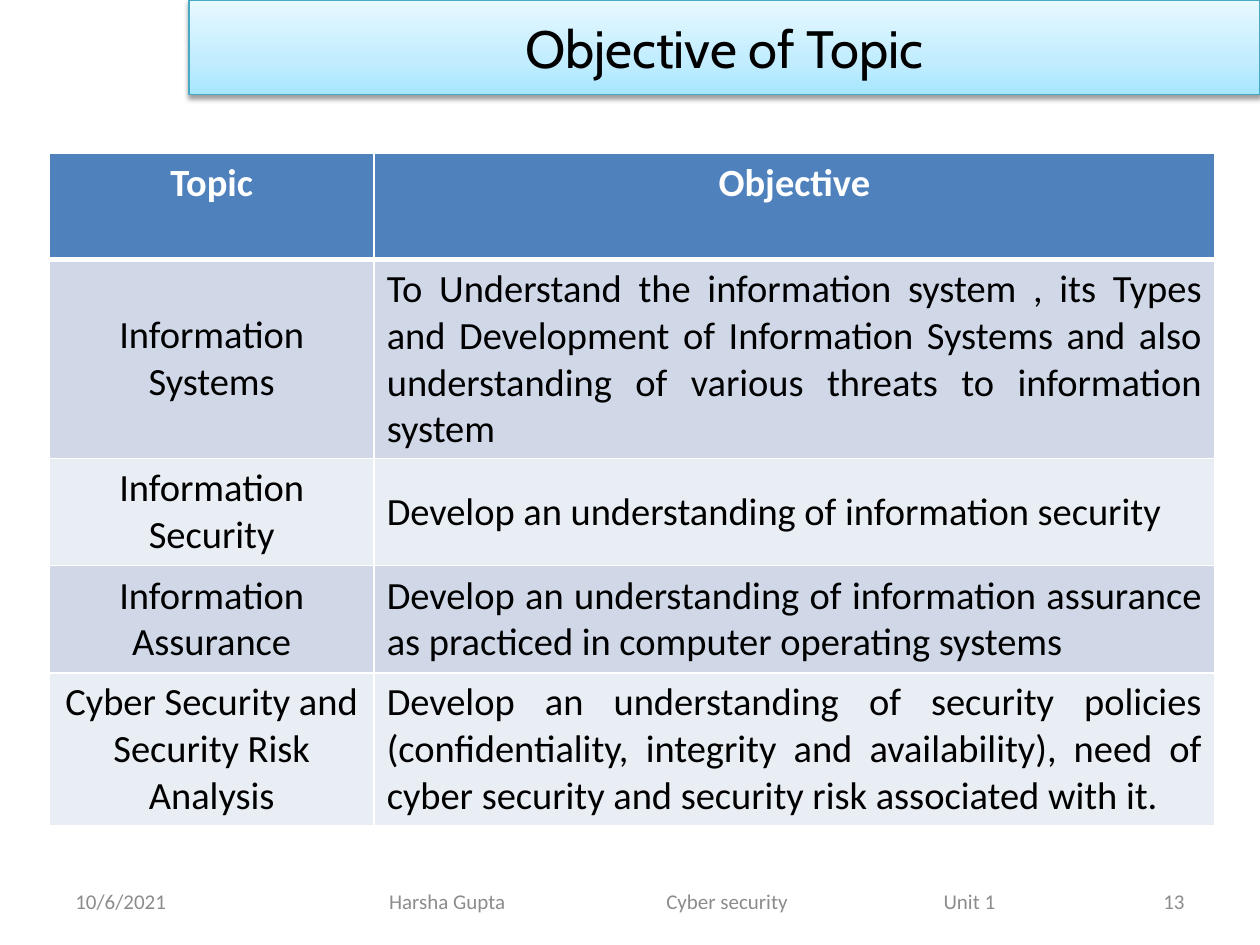
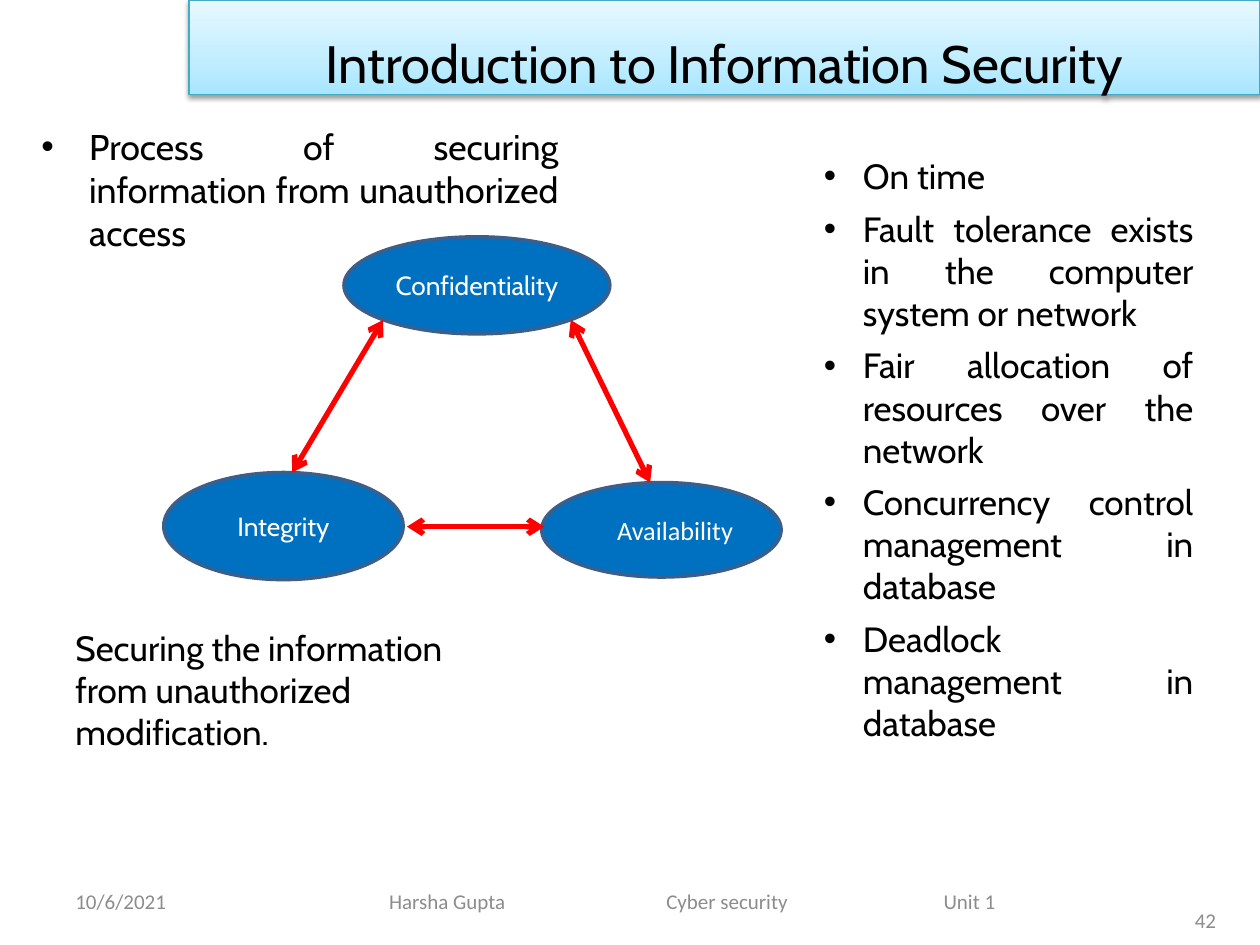
from copy import deepcopy

from lxml import etree
from pptx import Presentation
from pptx.dml.color import RGBColor
from pptx.enum import shapes, text
from pptx.oxml import ns
from pptx.util import Inches, Pt

BLACK = RGBColor(0x00, 0x00, 0x00)
WHITE = RGBColor(0xFF, 0xFF, 0xFF)
GREY = RGBColor(0x8C, 0x8C, 0x8C)
RED = RGBColor(0xFF, 0x00, 0x00)
BAND_LINE = RGBColor(0x46, 0xAA, 0xC5)
BAND_STOPS = [
    (0, RGBColor(0xA7, 0xE6, 0xFF)),
    (0.35, RGBColor(0xC1, 0xED, 0xFF)),
    (1, RGBColor(0xE7, 0xF8, 0xFF)),
]
OVAL_FILL = RGBColor(0x00, 0x70, 0xC0)
OVAL_LINE = RGBColor(0x3A, 0x5F, 0x8C)
HEADER_FILL = RGBColor(0x4F, 0x81, 0xBD)
ROW_FILLS = [RGBColor(0xE9, 0xED, 0xF4), RGBColor(0xD0, 0xD8, 0xE8)]

HEADING_FONT = "Cabin"
BODY_FONT = "Calibri"
LEFT, CENTER, RIGHT, JUSTIFY = (
    text.PP_ALIGN.LEFT, text.PP_ALIGN.CENTER, text.PP_ALIGN.RIGHT, text.PP_ALIGN.JUSTIFY)
TOP, MIDDLE = text.MSO_ANCHOR.TOP, text.MSO_ANCHOR.MIDDLE

DATE = "10/6/2021"
FOOTER_PARTS = ["Harsha Gupta", "Cyber security", "Unit 1"]
FOOTER_PITCH = 2.2

OBJECTIVES = [
    ("Topic", "Objective"),
    ("Information Systems",
     "To Understand the information system , its Types and Development of Information "
     "Systems and also understanding of various threats to information system"),
    ("Information Security", "Develop an understanding of information security"),
    ("Information Assurance",
     "Develop an understanding of information assurance as practiced in computer "
     "operating systems"),
    ("Cyber Security and Security Risk Analysis",
     "Develop an understanding of security policies (confidentiality, integrity and "
     "availability), need of cyber security and security risk associated with it."),
]
AVAILABILITY_POINTS = [
    "On time",
    "Fault tolerance exists in the computer system or network",
    "Fair allocation of resources over the network",
    "Concurrency control management in database",
    "Deadlock management in database",
]


def add_xml(parent, tag, **attributes):
    return etree.SubElement(parent, ns.qn(tag), {k: str(v) for k, v in attributes.items()})


def write(frame, lines, size=20, font=HEADING_FONT, color=BLACK, bold=False, align=LEFT,
          anchor=TOP, spacing=None, after=None, bullet_indent=None, tabs=()):
    """Fill a text frame with one paragraph for each line."""
    frame.word_wrap = True
    frame.vertical_anchor = anchor
    for number, line in enumerate(lines):
        paragraph = frame.add_paragraph() if number else frame.paragraphs[0]
        paragraph.alignment = align
        if spacing:
            paragraph.line_spacing = spacing
        if after:
            paragraph.space_after = Pt(after)
        properties = paragraph._p.get_or_add_pPr()
        if bullet_indent:
            properties.set("marL", str(Inches(bullet_indent)))
            properties.set("indent", str(-Inches(bullet_indent)))
            add_xml(properties, "a:buFont", typeface="Arial")
            add_xml(properties, "a:buChar", char="•")
        if tabs:
            tab_list = add_xml(properties, "a:tabLst")
            for position in tabs:
                add_xml(tab_list, "a:tab", pos=Inches(position), algn="l")
        run = paragraph.add_run()
        run.text = line
        run.font.size = Pt(size)
        run.font.name = font
        run.font.bold = bold
        run.font.color.rgb = color


class Deck:
    """Holds the presentation, its shared style and the current slide."""

    def __init__(self):
        self.presentation = Presentation()
        self.presentation.slide_width = Inches(10)
        self.presentation.slide_height = Inches(7.5)
        self.slide = None

    def new_slide(self, title, number, number_at=(7.17, 6.95), title_spacing=None):
        self.slide = self.presentation.slides.add_slide(self.presentation.slide_layouts[6])
        self.title_band(title, title_spacing)
        self.footer(number, number_at)

    def title_band(self, title, spacing):
        band = self.shape(shapes.MSO_SHAPE.RECTANGLE, 1.5, 0, 8.5, 0.75, BAND_LINE, 0.75)
        band.fill.gradient()
        band.fill.gradient_angle = 90
        first_stop = band._element.spPr.find(".//" + ns.qn("a:gs"))
        first_stop.addnext(deepcopy(first_stop))
        for stop, (position, color) in zip(band.fill.gradient_stops, BAND_STOPS):
            stop.position = position
            stop.color.rgb = color
        effects = band._element.spPr.find(ns.qn("a:effectLst"))
        shadow = add_xml(effects, "a:outerShdw", blurRad=Pt(3.1), dist=Pt(1.6),
                         dir=5400000, rotWithShape=0)
        shadow_color = add_xml(shadow, "a:srgbClr", val="000000")
        add_xml(shadow_color, "a:alpha", val=38000)
        write(band.text_frame, [title], size=30, align=CENTER, anchor=MIDDLE, spacing=spacing)

    def footer(self, number, number_at):
        style = dict(size=12, font=BODY_FONT, color=GREY, anchor=MIDDLE)
        self.text_box([DATE], 0.5, 6.95, 2.33, 0.4, **style)
        self.text_box(["\t".join(FOOTER_PARTS)], 2.99, 6.95, 5.26, 0.4,
                      tabs=(FOOTER_PITCH, 2 * FOOTER_PITCH), **style)
        self.text_box([number], *number_at, 2.33, 0.4, align=RIGHT, **style)

    def text_box(self, lines, left, top, width, height, **style):
        box = self.slide.shapes.add_textbox(
            Inches(left), Inches(top), Inches(width), Inches(height))
        write(box.text_frame, lines, **style)

    def shape(self, kind, left, top, width, height, line_color, line_width):
        shape = self.slide.shapes.add_shape(
            kind, Inches(left), Inches(top), Inches(width), Inches(height))
        shape.shadow.inherit = False
        shape.line.color.rgb = line_color
        shape.line.width = Pt(line_width)
        return shape

    def oval(self, label, left, top, width, height, **style):
        oval = self.shape(shapes.MSO_SHAPE.OVAL, left, top, width, height, OVAL_LINE, 2)
        oval.fill.solid()
        oval.fill.fore_color.rgb = OVAL_FILL
        style = {"align": CENTER, **style}
        write(oval.text_frame, [label], size=15, color=WHITE, anchor=MIDDLE, **style)
        return oval

    def double_arrow(self, start, end):
        arrow = self.slide.shapes.add_connector(
            shapes.MSO_CONNECTOR.STRAIGHT, *(Inches(value) for value in start + end))
        arrow.line.color.rgb = RED
        arrow.line.width = Pt(3)
        line = arrow.line._get_or_add_ln()
        for tag in ("a:headEnd", "a:tailEnd"):
            add_xml(line, tag, type="arrow")
        add_xml(arrow._element.spPr, "a:effectLst")

    def table(self, rows, left, top, column_widths, row_heights):
        table = self.slide.shapes.add_table(
            len(rows), len(column_widths), Inches(left), Inches(top),
            Inches(sum(column_widths)), Inches(sum(row_heights))).table
        for column, width in zip(table.columns, column_widths):
            column.width = Inches(width)
        for index, (row, height) in enumerate(zip(rows, row_heights)):
            table.rows[index].height = Inches(height)
            header = index == 0
            for column, value in enumerate(row):
                cell = table.cell(index, column)
                self.cell_borders(cell, top=3 if index == 1 else 1, bottom=3 if header else 1)
                cell.fill.solid()
                cell.fill.fore_color.rgb = HEADER_FILL if header else ROW_FILLS[index % 2]
                write(cell.text_frame, [value], size=22, font=BODY_FONT, bold=header,
                      color=WHITE if header else BLACK,
                      align=CENTER if header or column == 0 else JUSTIFY)
                cell.vertical_anchor = TOP if header else MIDDLE

    def cell_borders(self, cell, top, bottom):
        properties = cell._tc.get_or_add_tcPr()
        for tag, width in (("a:lnL", 1), ("a:lnR", 1), ("a:lnT", top), ("a:lnB", bottom)):
            border = add_xml(properties, tag, w=Pt(width))
            add_xml(add_xml(border, "a:solidFill"), "a:srgbClr", val=WHITE)


def build_objectives(deck):
    deck.new_slide("Objective of Topic", "13")
    deck.table(OBJECTIVES, 0.39, 1.22, [2.58, 6.67], [0.84, 1.58, 0.85, 0.85, 1.21])


def build_security_triangle(deck):
    deck.new_slide("Introduction to Information Security", "42",
                   number_at=(7.42, 7.1), title_spacing=1.5)
    deck.text_box(["Process of securing information from unauthorized access"],
                  0.23, 0.94, 4.3, 0.7, size=20.4, align=JUSTIFY, bullet_indent=0.38)
    deck.oval("Confidentiality", 2.73, 1.88, 2.11, 0.77)
    deck.oval("Integrity", 1.3, 3.75, 1.9, 0.85)
    availability = deck.oval("Availability", 4.3, 3.83, 1.9, 0.75, font=BODY_FONT, align=LEFT)
    availability.text_frame.margin_left = Inches(0.32)
    availability.text_frame.margin_right = 0
    deck.double_arrow((2.32, 3.75), (3.04, 2.54))
    deck.double_arrow((3.23, 4.18), (4.32, 4.18))
    deck.double_arrow((5.16, 3.83), (4.53, 2.54))
    deck.text_box(["Securing the information from unauthorized modification."],
                  0.5, 4.92, 3.33, 1.11)
    deck.text_box(AVAILABILITY_POINTS, 6.44, 1.18, 3.13, 4.48,
                  align=JUSTIFY, after=6, bullet_indent=0.31)


def main():
    deck = Deck()
    build_objectives(deck)
    build_security_triangle(deck)
    deck.presentation.save("out.pptx")


if __name__ == "__main__":
    main()
